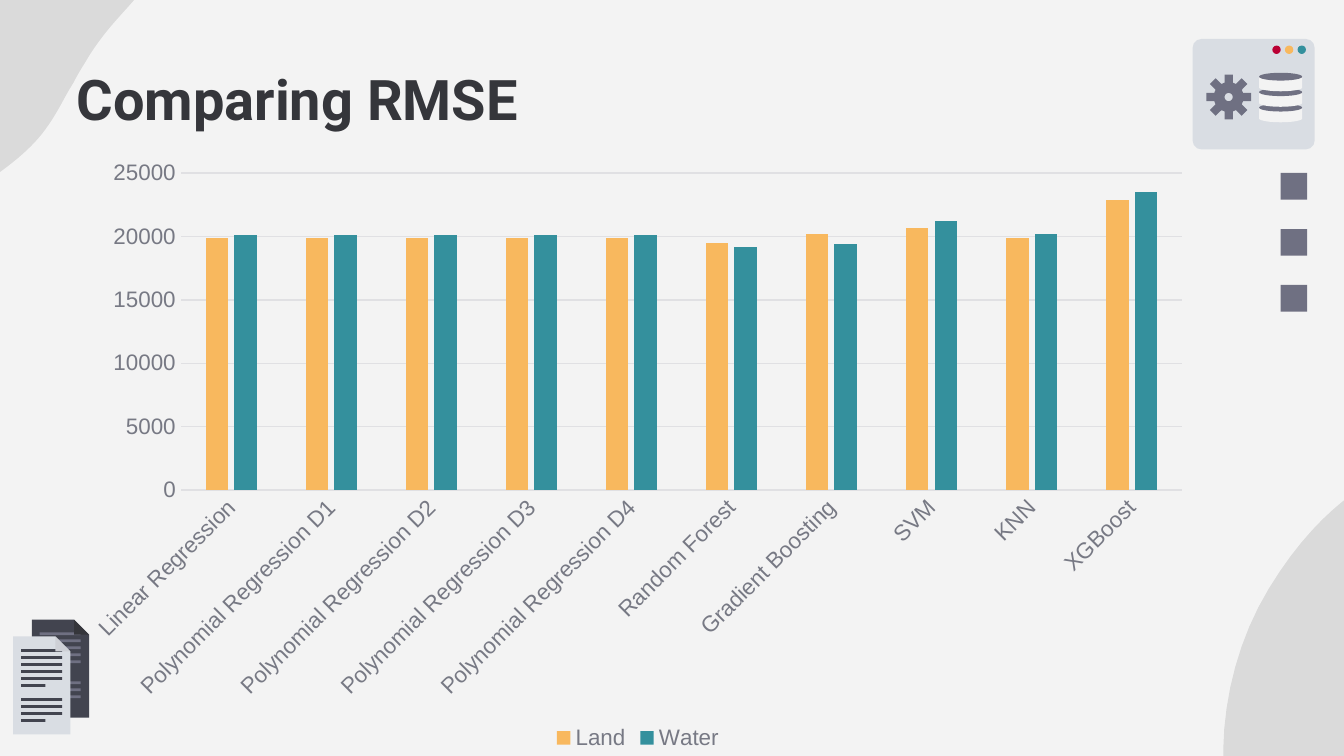
from dataclasses import dataclass
from math import cos, pi, sin
from typing import NamedTuple

from lxml.etree import SubElement
from pptx import Presentation
from pptx.chart.data import CategoryChartData
from pptx.dml.color import RGBColor
from pptx.enum.chart import XL_CHART_TYPE as ChartType
from pptx.enum.chart import XL_LEGEND_POSITION as LegendPosition
from pptx.enum.chart import XL_TICK_MARK as TickMark
from pptx.enum.shapes import MSO_SHAPE as Shape
from pptx.enum.text import MSO_ANCHOR as Anchor
from pptx.enum.text import PP_ALIGN as Align
from pptx.oxml.ns import qn
from pptx.util import Pt

BACKGROUND, DARK, SLATE, CHARCOAL, PALE = "F3F3F3", "35363B", "6F7082", "42444F", "D9DDE3"
ORANGE, TEAL, RED, AXIS_TEXT, GRID = "F8B85E", "34909D", "BA0034", "777984", "E0E0E3"
Point = tuple[float, float]


class Series(NamedTuple):
    name: str
    color: str
    values: list[int]


@dataclass
class Blob:
    start: Point
    curves: list[tuple[float, ...]]


@dataclass
class Page:
    left: float
    top: float
    paper: str
    fold: str
    long_line: str
    short_line: str


REGRESSIONS = ["Linear Regression"] + [f"Polynomial Regression D{degree}" for degree in range(1, 5)]
MODELS = REGRESSIONS + ["Random Forest", "Gradient Boosting", "SVM", "KNN", "XGBoost"]
RMSE = [
    Series("Land", ORANGE, [19900] * 5 + [19500, 20200, 20700, 19900, 22900]),
    Series("Water", TEAL, [20100] * 5 + [19200, 19400, 21200, 20200, 23500]),
]
PAGES = [
    Page(17.1, 332, CHARCOAL, DARK, SLATE, CHARCOAL),
    Page(7.1, 341, PALE, "CED0D6", CHARCOAL, CHARCOAL),
]
CORNER_BLOBS = [
    Blob((774, 250.6), [
        (787, 252, 803.5, 257, 818.6, 272.2),
        (852.5, 305.3, 865.4, 365.8, 877, 414),
        (888.5, 462.2, 874.8, 509, 844.6, 528.5),
        (836.6, 532.8, 830.2, 534.2, 823.7, 533.5),
        (804.2, 532.1, 787.7, 511.9, 758.2, 507.6),
        (753.1, 506.9, 748.8, 506.9, 744.5, 506.2),
        (739.4, 505.4, 735.1, 505.4, 730.8, 504.7),
        (710.6, 503.3, 699.1, 499.7, 676.8, 475.2),
        (647.3, 440.6, 648, 367.2, 679.7, 315.4),
        (710.6, 264.2, 744.5, 253.4, 744.5, 253.4),
        (744.5, 253.4, 756.7, 249.1, 774, 250.6),
    ]),
    Blob((-63.4, -16.6), [
        (-57.6, -27.4, -49, -38.9, -36.7, -48.2),
        (-8.6, -70.6, 23, -71.3, 49, -72.7),
        (74.9, -74.9, 90, -56.9, 87.1, -30.2),
        (86.4, -23.8, 84.2, -18, 81.4, -13),
        (73.4, 1.4, 58.3, 11.5, 45.4, 33.8),
        (43.2, 37.4, 41, 41, 39.6, 43.9),
        (37.4, 47.5, 35.3, 51.1, 33.8, 54),
        (25.2, 69.8, 18.7, 78.5, 0, 92.2),
        (-26.6, 110.2, -59, 97.9, -69.8, 66.2),
        (-81.4, 33.8, -72.7, 6.5, -72.7, 6.5),
        (-72.7, 6.5, -69.8, -4.3, -63.4, -16.6),
    ]),
]


def paint(target, color: str) -> None:
    target.solid()
    target.fore_color.rgb = RGBColor.from_string(color)


def finish(shape, color: str):
    shape.shadow.inherit = False
    paint(shape.fill, color)
    shape.line.fill.background()
    return shape


def draw_preset(shapes, kind, left: float, top: float, width: float, height: float, color: str):
    return finish(shapes.add_shape(kind, Pt(left), Pt(top), Pt(width), Pt(height)), color)


def draw_outline(shapes, color: str, *contours: list[Point]):
    scaled = [[(Pt(x), Pt(y)) for x, y in contour] for contour in contours]
    builder = shapes.build_freeform(*scaled[0][0])
    builder.add_line_segments(scaled[0][1:])
    for contour in scaled[1:]:
        builder.move_to(*contour[0])
        builder.add_line_segments(contour[1:])
    return finish(builder.convert_to_shape(), color)


def bezier(start: Point, curve: tuple[float, ...], steps: int = 16) -> list[Point]:
    xs, ys = (start[0], *curve[::2]), (start[1], *curve[1::2])
    points = []
    for step in range(1, steps + 1):
        t = step / steps
        weights = ((1 - t) ** 3, 3 * t * (1 - t) ** 2, 3 * t * t * (1 - t), t ** 3)
        points.append(tuple(sum(w * c for w, c in zip(weights, axis)) for axis in (xs, ys)))
    return points


def draw_blob(shapes, blob: Blob) -> None:
    points = [blob.start]
    for curve in blob.curves:
        points += bezier(points[-1], curve)
    shape = draw_outline(shapes, "000000", points)
    tint = shape.element.spPr.find(f"{qn('a:solidFill')}/{qn('a:srgbClr')}")
    SubElement(tint, qn("a:alpha")).set("val", "10000")


def draw_page(shapes, page: Page) -> None:
    right, bottom, ear = page.left + 30.6, page.top + 52.5, 8
    cut, crease = (right - ear, page.top), (right, page.top + ear)
    draw_outline(shapes, page.paper, [(page.left, page.top), cut, crease, (right, bottom), (page.left, bottom)])
    for row in (0, 1, 2, 3, 4, 5, 7, 8, 9, 10):
        width, color = (13, page.short_line) if row in (5, 10) else (22, page.long_line)
        draw_preset(shapes, Shape.RECTANGLE, page.left + 4.2, page.top + 6.8 + 3.74 * row, width, 1.5, color)
    draw_outline(shapes, page.fold, [cut, crease, (right - ear, page.top + ear)])


def draw_gear(shapes, x: float, y: float) -> None:
    tooth = [(-2.2, -7.7), (-2.2, -12), (2.2, -12), (2.2, -7.7)]
    turns = [pi / 4 * index for index in range(8)]
    rim = [(x + dx * cos(a) - dy * sin(a), y + dx * sin(a) + dy * cos(a)) for a in turns for dx, dy in tooth]
    hole = [(x + 2.2 * cos(pi / 12 * i), y - 2.2 * sin(pi / 12 * i)) for i in range(24)]
    draw_outline(shapes, SLATE, rim, hole)


def draw_disk(shapes, left: float, middle: float) -> None:
    right, base = left + 23.1, middle + 5.7
    start = (left, base)
    centre, low = left + 11.55, base + 2.1
    front = bezier(start, (left, base + 1.2, left + 5, low, centre, low))
    front += bezier(front[-1], (right - 5, low, right, base + 1.2, right, base))
    draw_outline(shapes, BACKGROUND, [(left, middle), start, *front, (right, middle)])
    draw_preset(shapes, Shape.OVAL, left, middle - 2.1, 23.1, 4.2, SLATE)


def draw_window(shapes) -> None:
    window = draw_preset(shapes, Shape.ROUNDED_RECTANGLE, 638.9, 20.9, 65.4, 59.2, PALE)
    window.adjustments[0] = 0.08
    for index, color in enumerate((RED, ORANGE, TEAL)):
        draw_preset(shapes, Shape.OVAL, 681.6 + 6.75 * index, 24.4, 4.5, 4.5, color)
    draw_gear(shapes, 658.2, 52)
    for level in (2, 1, 0):
        draw_disk(shapes, 674.5, 41.1 + 8.3 * level)


def style_font(font, size: float, color: str, name: str = "Arial") -> None:
    font.size, font.name = Pt(size), name
    font.color.rgb = RGBColor.from_string(color)


def style_rule(line) -> None:
    paint(line.fill, GRID)
    line.width = Pt(0.75)


def draw_rmse_chart(shapes) -> None:
    data = CategoryChartData()
    data.categories = MODELS
    for series in RMSE:
        data.add_series(series.name, series.values)
    frame = shapes.add_chart(ChartType.COLUMN_CLUSTERED, Pt(38.2), Pt(79.9), Pt(607), Pt(324.7), data)
    chart = frame.chart
    chart.has_title = False
    style_font(chart.font, 10, DARK)
    chart.has_legend = True
    chart.legend.position = LegendPosition.BOTTOM
    chart.legend.include_in_layout = False
    style_font(chart.legend.font, 12, AXIS_TEXT)
    models, errors = chart.category_axis, chart.value_axis
    for axis in (models, errors):
        axis.major_tick_mark = axis.minor_tick_mark = TickMark.NONE
        style_font(axis.tick_labels.font, 12, AXIS_TEXT)
    style_rule(models.format.line)
    chart.element.find(f".//{qn('c:catAx')}/{qn('c:txPr')}/{qn('a:bodyPr')}").set("rot", "-2700000")
    errors.minimum_scale, errors.maximum_scale, errors.major_unit = 0, 25000, 5000
    errors.format.line.fill.background()
    style_rule(errors.major_gridlines.format.line)
    plot = chart.plots[0]
    plot.gap_width, plot.overlap, plot.vary_by_categories = 219, -27, False
    for bars, series in zip(plot.series, RMSE):
        paint(bars.format.fill, series.color)


def write_title(title) -> None:
    title.element.getparent().append(title.element)
    title.left, title.top, title.width, title.height = Pt(33.8), Pt(27.4), Pt(607), Pt(45.4)
    frame = title.text_frame
    frame.margin_left = frame.margin_right = frame.margin_top = frame.margin_bottom = Pt(7.2)
    frame.vertical_anchor, frame.word_wrap = Anchor.TOP, True
    paragraph = frame.paragraphs[0]
    paragraph.alignment = Align.LEFT
    run = paragraph.add_run()
    run.text = "Comparing RMSE"
    style_font(run.font, 30, DARK, "Roboto")
    run.font.bold = True


def main() -> None:
    deck = Presentation()
    deck.slide_width, deck.slide_height = Pt(720), Pt(405)
    slide = deck.slides.add_slide(deck.slide_layouts[5])
    paint(slide.background.fill, BACKGROUND)
    shapes = slide.shapes
    for blob in CORNER_BLOBS:
        draw_blob(shapes, blob)
    for page in PAGES:
        draw_page(shapes, page)
    draw_window(shapes)
    write_title(shapes.title)
    for index in range(3):
        draw_preset(shapes, Shape.RECTANGLE, 686, 92.7 + 30 * index, 14.3, 14.3, SLATE)
    draw_rmse_chart(shapes)
    deck.save("out.pptx")


if __name__ == "__main__":
    main()
